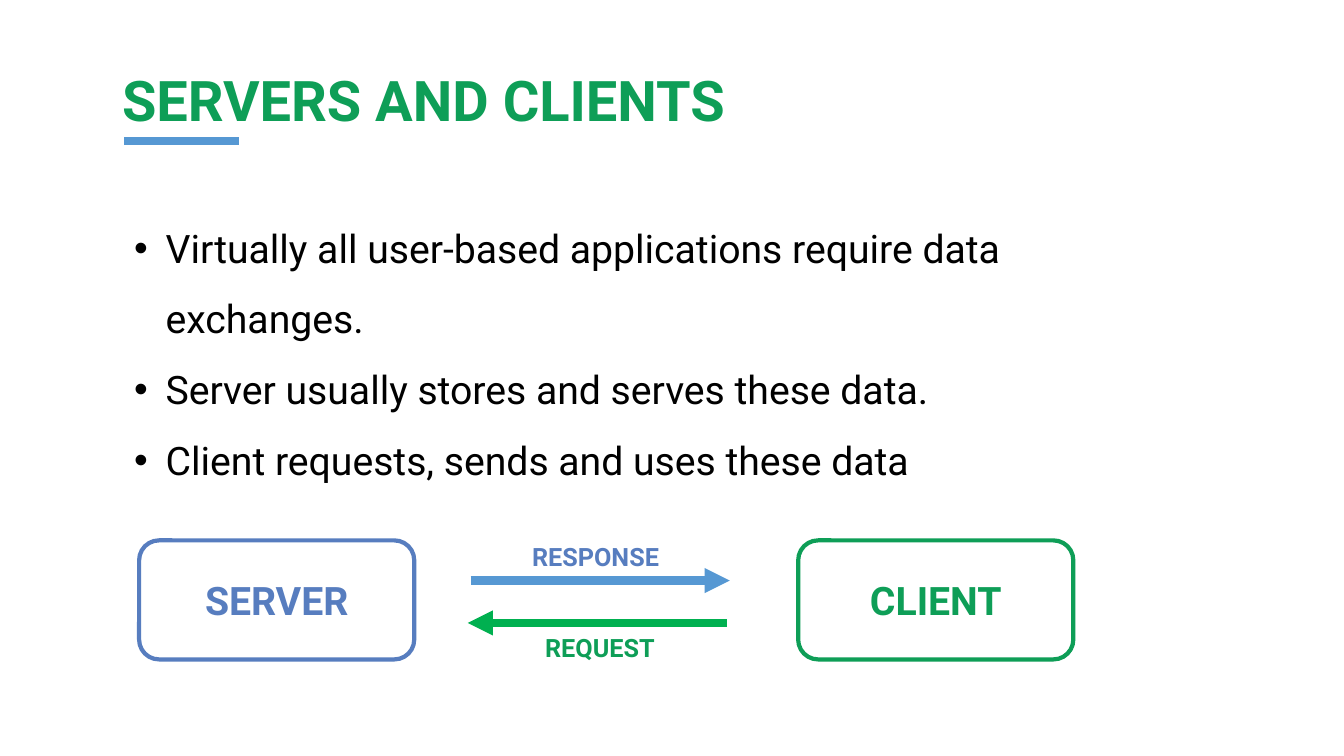
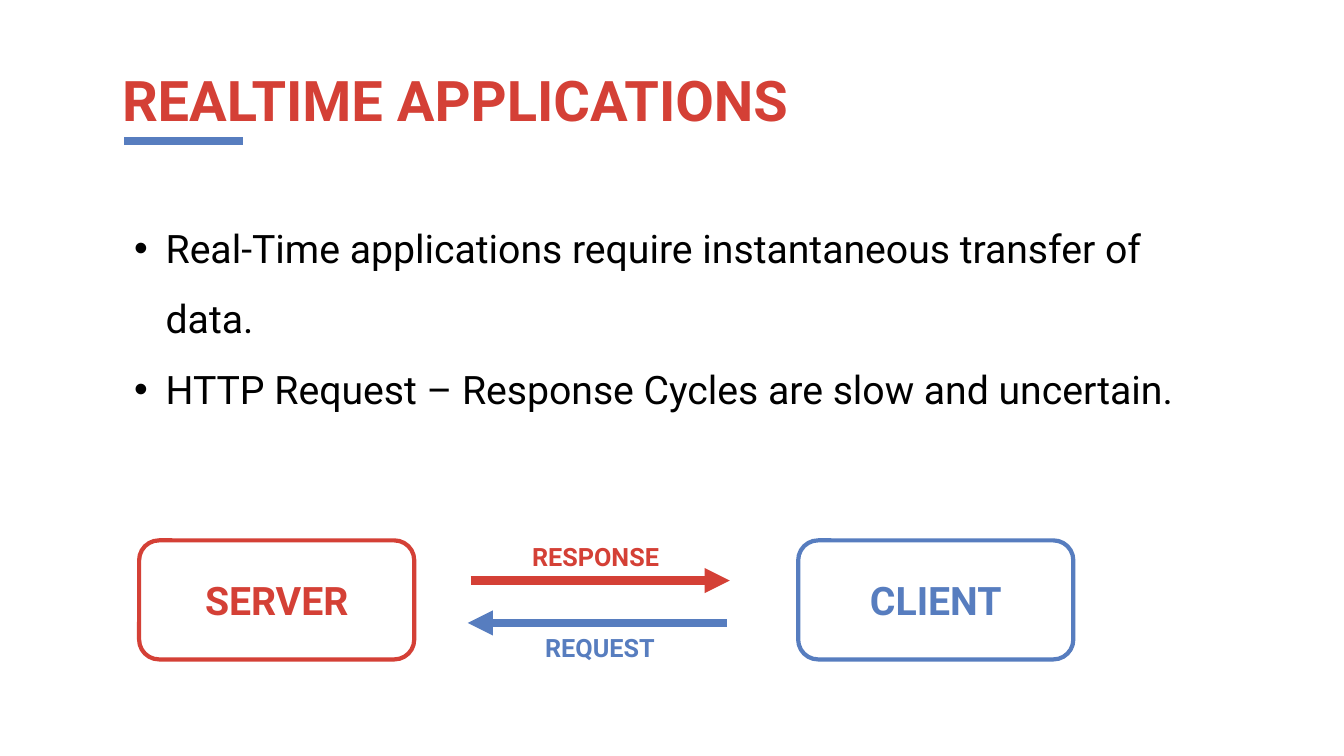
from lxml import etree
from pptx import Presentation
from pptx.dml.color import RGBColor
from pptx.enum.shapes import MSO_CONNECTOR, MSO_SHAPE
from pptx.enum.text import MSO_ANCHOR, MSO_AUTO_SIZE, PP_ALIGN
from pptx.oxml.ns import qn
from pptx.util import Pt

STRAIGHT = MSO_CONNECTOR.STRAIGHT
ROUNDED = MSO_SHAPE.ROUNDED_RECTANGLE
TOP, MIDDLE = MSO_ANCHOR.TOP, MSO_ANCHOR.MIDDLE
LEFT, CENTER = PP_ALIGN.LEFT, PP_ALIGN.CENTER
NO_AUTOFIT = MSO_AUTO_SIZE.NONE

FONT = "Roboto"
COLORS = {
    "black": "000000",
    "white": "FFFFFF",
    "green": "0E9E57",
    "bright_green": "00B050",
    "blue": "577DBF",
    "sky": "5698D3",
    "red": "D44036",
}
TITLE_AND_CONTENT = 1
BULLET_INDENT = 22.5

SLIDES = [
    {
        "title": "SERVERS AND CLIENTS",
        "title_color": "green",
        "underline": ("sky", 82),
        "bullets": [
            "Virtually all user-based applications require data exchanges.",
            "Server usually stores and serves these data.",
            "Client requests, sends and uses these data",
        ],
        "server_color": "blue",
        "client_color": "green",
        "response_color": "sky",
        "request_color": "bright_green",
    },
    {
        "title": "REALTIME APPLICATIONS",
        "title_color": "red",
        "underline": ("blue", 85),
        "bullets": [
            "Real-Time applications require instantaneous transfer of data.",
            "HTTP Request – Response Cycles are slow and uncertain.",
        ],
        "server_color": "red",
        "client_color": "blue",
        "response_color": "red",
        "request_color": "blue",
    },
]


def rgb(name):
    return RGBColor.from_string(COLORS[name])


def place(shape, left, top, width, height):
    shape.left, shape.top = Pt(left), Pt(top)
    shape.width, shape.height = Pt(width), Pt(height)


def write(shape, *lines, size, color, bold=False, align=LEFT, anchor=TOP, spacing=1.0):
    """Fill a shape with one paragraph per line, all in the same format."""
    frame = shape.text_frame
    frame.word_wrap = True
    frame.auto_size = NO_AUTOFIT
    frame.vertical_anchor = anchor
    frame.text = "\n".join(lines)
    for paragraph in frame.paragraphs:
        paragraph.alignment = align
        paragraph.line_spacing = spacing
        paragraph.space_before = Pt(0)
        font = paragraph.runs[0].font
        font.name, font.size, font.bold = FONT, Pt(size), bold
        font.color.rgb = rgb(color)


def add_bullet(paragraph):
    properties = paragraph._p.get_or_add_pPr()
    properties.set("marL", str(Pt(BULLET_INDENT)))
    properties.set("indent", str(-Pt(BULLET_INDENT)))
    bullet_color = etree.SubElement(properties, qn("a:buClr"))
    etree.SubElement(bullet_color, qn("a:srgbClr"), val=COLORS["black"])
    etree.SubElement(properties, qn("a:buFont"), typeface="Arial")
    etree.SubElement(properties, qn("a:buChar"), char="•")


def add_line(slide, start, end, top, color, arrow=False):
    """Draw a thick horizontal line, with an optional arrowhead at its end."""
    line = slide.shapes.add_connector(STRAIGHT, Pt(start), Pt(top), Pt(end), Pt(top))
    line.line.color.rgb = rgb(color)
    line.line.width = Pt(6)
    if arrow:
        etree.SubElement(line.line._get_or_add_ln(), qn("a:tailEnd"), type="triangle")
    etree.SubElement(line._element.spPr, qn("a:effectLst"))


def add_node(slide, left, name, color):
    node = slide.shapes.add_shape(ROUNDED, Pt(left), Pt(386), Pt(196.5), Pt(85))
    node.shadow.inherit = False
    node.fill.solid()
    node.fill.fore_color.rgb = rgb("white")
    node.line.color.rgb = rgb(color)
    node.line.width = Pt(3)
    write(node, name, size=28, color=color, bold=True, align=CENTER, anchor=MIDDLE)


def add_label(slide, left, top, text, color):
    label = slide.shapes.add_textbox(Pt(left), Pt(top), Pt(120), Pt(29))
    write(label, text, size=18, color=color, bold=True)


def add_heading(slide, title, color, underline):
    place(slide.shapes.title, 80, 43.2, 816, 55.4)
    write(slide.shapes.title, title, size=40, color=color, bold=True)
    underline_color, length = underline
    add_line(slide, 88.6, 88.6 + length, 100.8, underline_color)


def add_bullets(slide, bullets):
    body = slide.placeholders[1]
    place(body, 88.6, 139.7, 779, 7.2 + 50.4 * (len(bullets) + 1))
    write(body, *bullets, size=28, color="black", spacing=1.5)
    for paragraph in body.text_frame.paragraphs:
        add_bullet(paragraph)


def add_exchange(slide, content):
    """Draw server and client with the response and request between them."""
    server_color, client_color = content["server_color"], content["client_color"]
    add_node(slide, 99.4, "SERVER", server_color)
    add_line(slide, 336.2, 521.3, 414.7, content["response_color"], arrow=True)
    add_line(slide, 519.1, 334.1, 445, content["request_color"], arrow=True)
    add_node(slide, 570.2, "CLIENT", client_color)
    add_label(slide, 373, 383, "RESPONSE", server_color)
    add_label(slide, 382.3, 448, "REQUEST", client_color)


def main():
    presentation = Presentation()
    presentation.slide_width, presentation.slide_height = Pt(960), Pt(540)
    layout = presentation.slide_layouts[TITLE_AND_CONTENT]
    for content in SLIDES:
        slide = presentation.slides.add_slide(layout)
        add_heading(slide, content["title"], content["title_color"], content["underline"])
        add_bullets(slide, content["bullets"])
        add_exchange(slide, content)
    presentation.save("out.pptx")


if __name__ == "__main__":
    main()
